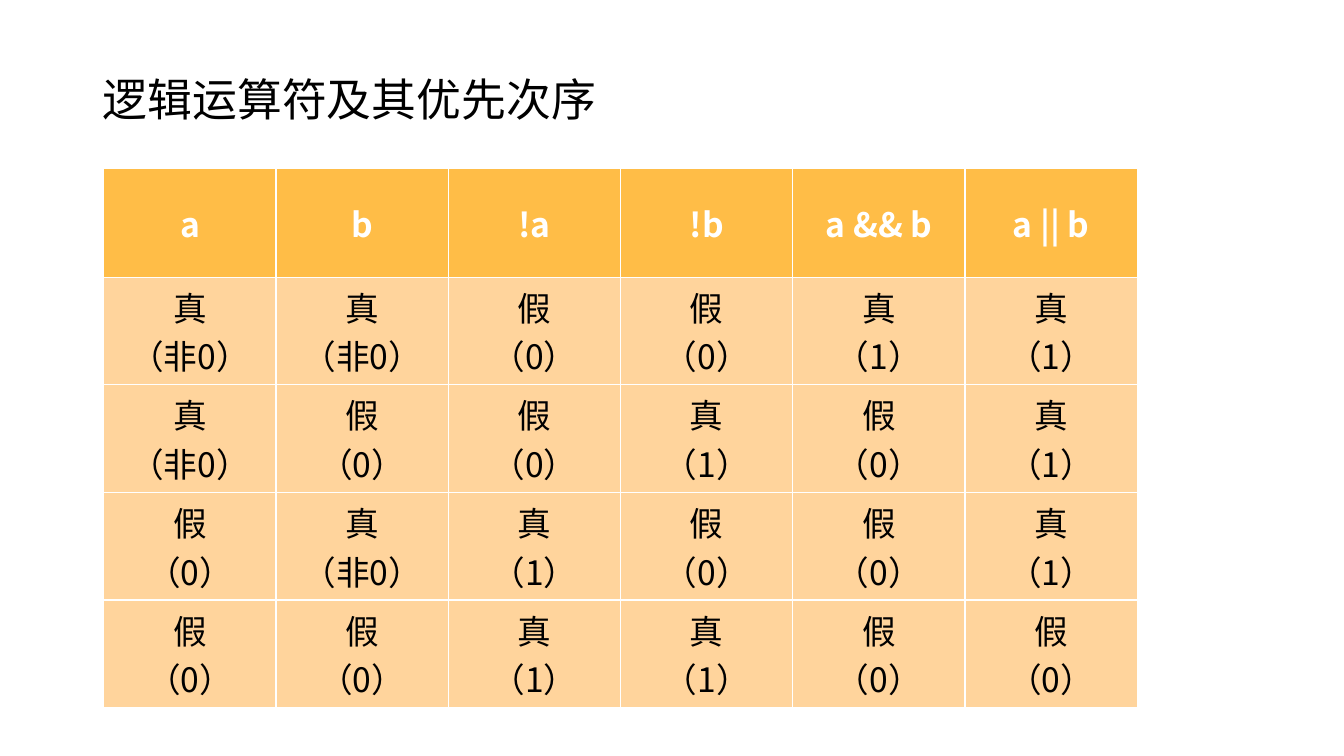
from dataclasses import dataclass
from itertools import product

from pptx import Presentation
from pptx.dml.color import RGBColor as RGB
from pptx.enum.text import MSO_ANCHOR as ANCHOR, PP_ALIGN as ALIGN
from pptx.oxml.ns import qn
from pptx.util import Inches, Pt
from lxml.etree import SubElement


@dataclass(frozen=True)
class Theme:
    font: str = "Noto Sans CJK SC"
    title_size: int = 32
    cell_size: int = 24
    text: str = "000000"
    header_text: str = "FFFFFF"
    header_fill: str = "FFBD47"
    body_fill: str = "FFD49C"
    border: str = "FFFFFF"
    border_width: int = 1


THEME = Theme()
HEADERS = ["a", "b", "!a", "!b", "a && b", "a || b"]


def format_paragraph(p, size, color, align, bold=False):
    font = p.font
    font.name, font.size, font.bold = THEME.font, Pt(size), bold
    font.color.rgb = RGB.from_string(color)
    p.alignment = align
    # East Asian glyphs take their typeface from a separate element
    props = p._p.pPr.find(qn("a:defRPr"))
    SubElement(props, qn("a:ea"), typeface=THEME.font)


def add_title(slide, text):
    sp = slide.shapes.title
    sp.left, sp.top = Inches(0.92), Inches(0.29)
    sp.width, sp.height = Inches(11.5), Inches(1.45)
    tf = sp.text_frame
    tf.text = text
    tf.vertical_anchor = ANCHOR.MIDDLE
    p = tf.paragraphs[0]
    p.line_spacing = 0.9
    format_paragraph(p, THEME.title_size, THEME.text, ALIGN.LEFT)


def set_borders(cell):
    props = cell._tc.get_or_add_tcPr()
    for index, side in enumerate(("lnL", "lnR", "lnT", "lnB")):
        line = props.makeelement(qn(f"a:{side}"), {"w": str(Pt(THEME.border_width))})
        fill = SubElement(line, qn("a:solidFill"))
        SubElement(fill, qn("a:srgbClr"), val=THEME.border)
        props.insert(index, line)


def fill_cell(cell, text, is_header):
    cell.margin_left = cell.margin_right = 0
    cell.margin_top = cell.margin_bottom = Inches(0.05)
    cell.vertical_anchor = ANCHOR.MIDDLE
    cell.fill.solid()
    cell.fill.fore_color.rgb = RGB.from_string(
        THEME.header_fill if is_header else THEME.body_fill)
    set_borders(cell)
    cell.text_frame.text = text
    color = THEME.header_text if is_header else THEME.text
    for p in cell.text_frame.paragraphs:
        format_paragraph(p, THEME.cell_size, color, ALIGN.CENTER, is_header)


def truth_label(value, true_number):
    return f"真\n（{true_number}）" if value else "假\n（0）"


def truth_rows():
    for a, b in product((True, False), repeat=2):
        operands = [truth_label(v, "非0") for v in (a, b)]
        results = [truth_label(v, "1") for v in (not a, not b, a and b, a or b)]
        yield operands + results


def add_truth_table(slide):
    rows = [HEADERS, *truth_rows()]
    frame = slide.shapes.add_table(len(rows), len(HEADERS), Inches(1.03),
                                   Inches(1.67), Inches(10.25), Inches(4.78))
    table = frame.table
    for r, labels in enumerate(rows):
        table.rows[r].height = Inches(0.92 if r else 1.08)
        for c, label in enumerate(labels):
            fill_cell(table.cell(r, c), label, is_header=r == 0)


def main():
    prs = Presentation()
    prs.slide_width, prs.slide_height = Inches(13.33), Inches(7.5)
    slide = prs.slides.add_slide(prs.slide_layouts[5])  # title only
    add_title(slide, "逻辑运算符及其优先次序")
    add_truth_table(slide)
    prs.save("out.pptx")


if __name__ == "__main__":
    main()
